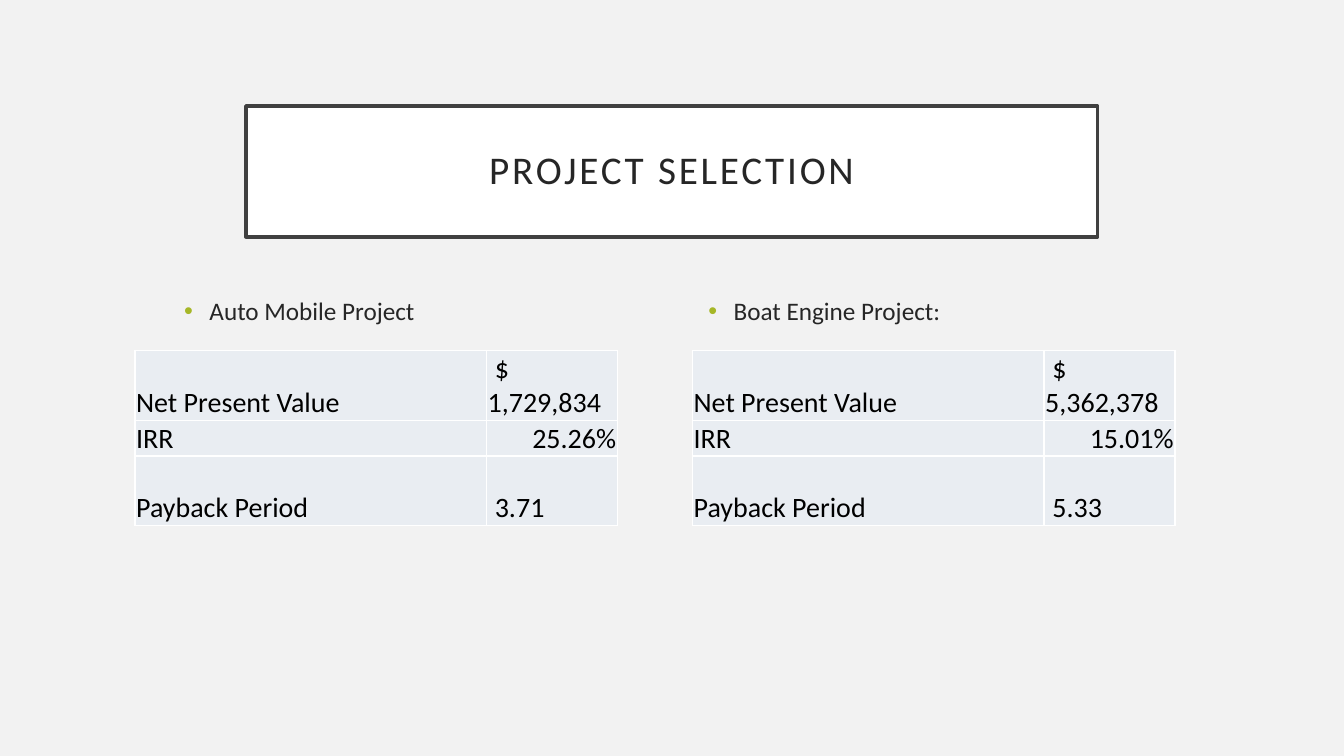
from lxml import etree
from pptx import Presentation
from pptx.dml.color import RGBColor
from pptx.enum.shapes import MSO_SHAPE
from pptx.enum.text import MSO_ANCHOR, PP_ALIGN
from pptx.oxml.ns import qn
from pptx.util import Cm, Pt

RECT = MSO_SHAPE.RECTANGLE
MIDDLE, BOTTOM = MSO_ANCHOR.MIDDLE, MSO_ANCHOR.BOTTOM
LEFT, CENTER, RIGHT = PP_ALIGN.LEFT, PP_ALIGN.CENTER, PP_ALIGN.RIGHT

TITLE = "PROJECT SELECTION"
# heading, heading left (cm), table left (cm), table rows
PROJECTS = [
    ("Auto Mobile Project", 4.39, 3.4,
     [("Net Present Value", "$\n1,729,834"), ("IRR", "25.26%"), ("Payback Period", "3.71")]),
    ("Boat Engine Project:", 17.6, 17.45,
     [("Net Present Value", "$\n5,362,378"), ("IRR", "15.01%"), ("Payback Period", "5.33")]),
]
COLUMN_WIDTHS = [8.86, 3.3]
ROW_HEIGHTS = [1.75, 0.9, 1.75]
TABLE_TOP = 8.84
VALUE_INDENT = Cm(0.18)

THEME = {
    "font": "Calibri",
    "background": "F2F2F2", "panel": "FFFFFF", "outline": "404040",
    "text": "262626", "bullet": "A6B727",
    "cell": "E9EDF2", "cell_text": "000000", "border": "FFFFFF",
    "title_size": 28, "heading_size": 18, "cell_size": 20,
}


def color(name):
    return RGBColor.from_string(THEME[name])


def add_run(p, text, size, color_name):
    r = p.add_run()
    r.text = text
    r.font.name = THEME["font"]
    r.font.size = Pt(THEME[size])
    r.font.color.rgb = color(color_name)
    return r


def set_margins(frame, side, bottom):
    frame.margin_left = frame.margin_right = frame.margin_top = Cm(side)
    frame.margin_bottom = Cm(bottom)


def add_title(s):
    sp = s.shapes.add_shape(RECT, Cm(6.2), Cm(2.67), Cm(21.46), Cm(3.3))
    sp.shadow.inherit = False
    sp.fill.solid()
    sp.fill.fore_color.rgb = color("panel")
    sp.line.color.rgb = color("outline")
    sp.line.width = Pt(2.5)
    tf = sp.text_frame
    tf.word_wrap = True
    tf.vertical_anchor = MIDDLE
    set_margins(tf, 0.5, 0.5)
    p = tf.paragraphs[0]
    p.alignment = CENTER
    p.line_spacing = 0.9
    r = add_run(p, TITLE, "title_size", "text")
    r.font._element.set("spc", "200")


def add_heading(s, text, left):
    tf = s.shapes.add_textbox(Cm(left), Cm(7.32), Cm(11.86), Cm(8.61)).text_frame
    tf.word_wrap = True
    p = tf.paragraphs[0]
    p.space_before = Pt(10)
    pPr = p._p.get_or_add_pPr()
    pPr.set("marL", str(Cm(0.64)))
    pPr.set("indent", str(-Cm(0.64)))
    bullet_color = etree.SubElement(pPr, qn("a:buClr"))
    etree.SubElement(bullet_color, qn("a:srgbClr"), val=THEME["bullet"])
    etree.SubElement(pPr, qn("a:buFont"), typeface="Arial")
    etree.SubElement(pPr, qn("a:buChar"), char="•")
    add_run(p, text, "heading_size", "text")


def add_borders(cell):
    tcPr = cell._tc.get_or_add_tcPr()
    for i, side in enumerate(("a:lnL", "a:lnR", "a:lnT", "a:lnB")):
        ln = etree.Element(qn(side), w=str(Pt(1)))
        fill = etree.SubElement(ln, qn("a:solidFill"))
        etree.SubElement(fill, qn("a:srgbClr"), val=THEME["border"])
        tcPr.insert(i, ln)


def fill_cell(cell, text, is_value):
    cell.fill.solid()
    cell.fill.fore_color.rgb = color("cell")
    cell.vertical_anchor = BOTTOM
    set_margins(cell, 0.03, 0)
    add_borders(cell)
    p = cell.text_frame.paragraphs[0]
    p.alignment = RIGHT if text.endswith("%") else LEFT
    if is_value and p.alignment == LEFT:
        p._p.get_or_add_pPr().set("indent", str(VALUE_INDENT))
    for i, line in enumerate(text.split("\n")):
        if i:
            p.add_line_break()
        add_run(p, line, "cell_size", "cell_text")


def add_figures(s, rows, left):
    table = s.shapes.add_table(
        len(rows), len(COLUMN_WIDTHS), Cm(left), Cm(TABLE_TOP),
        Cm(sum(COLUMN_WIDTHS)), Cm(sum(ROW_HEIGHTS))).table
    table.first_row = table.horz_banding = False
    for column, width in zip(table.columns, COLUMN_WIDTHS):
        column.width = Cm(width)
    for i, (row, height) in enumerate(zip(rows, ROW_HEIGHTS)):
        table.rows[i].height = Cm(height)
        for j, text in enumerate(row):
            fill_cell(table.cell(i, j), text, j > 0)


def main():
    prs = Presentation()
    prs.slide_width, prs.slide_height = Cm(33.87), Cm(19.05)
    s = prs.slides.add_slide(prs.slide_layouts[6])
    s.background.fill.solid()
    s.background.fill.fore_color.rgb = color("background")
    add_title(s)
    for heading, heading_left, table_left, rows in PROJECTS:
        add_heading(s, heading, heading_left)
        add_figures(s, rows, table_left)
    prs.save("out.pptx")


if __name__ == "__main__":
    main()
